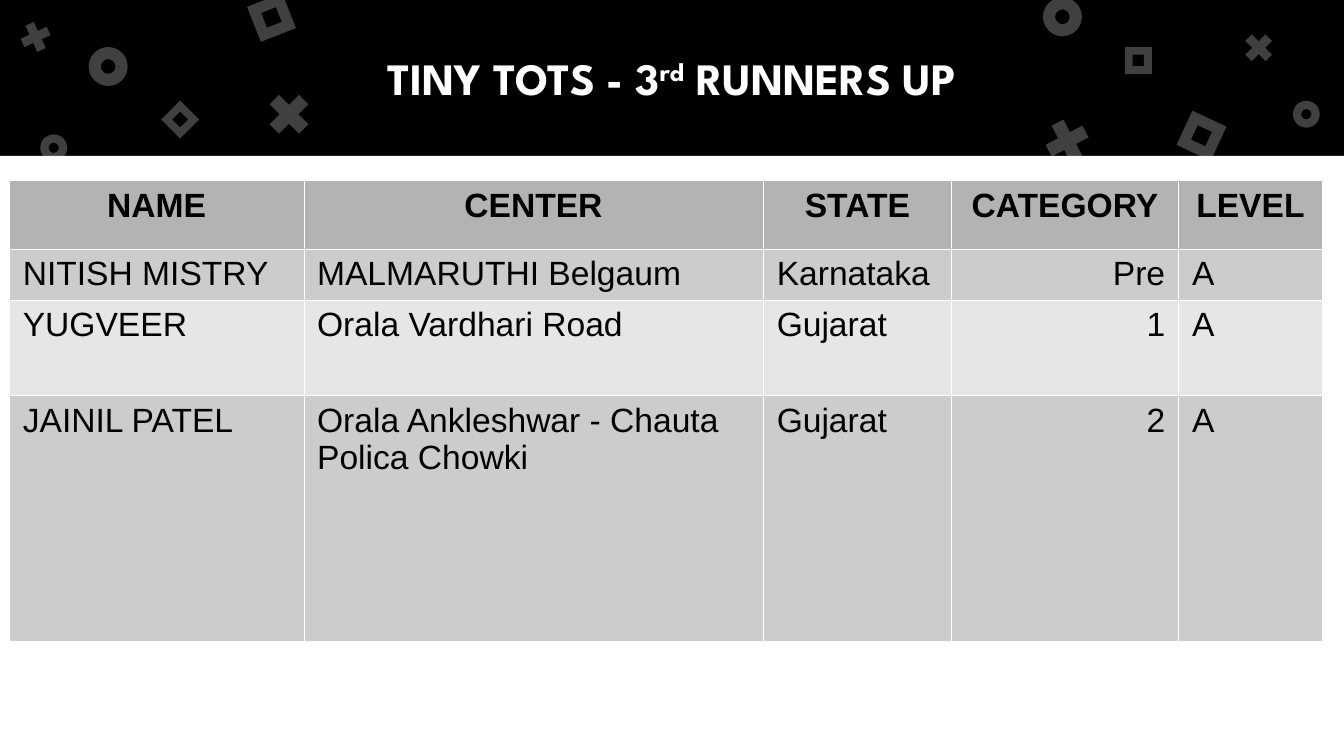
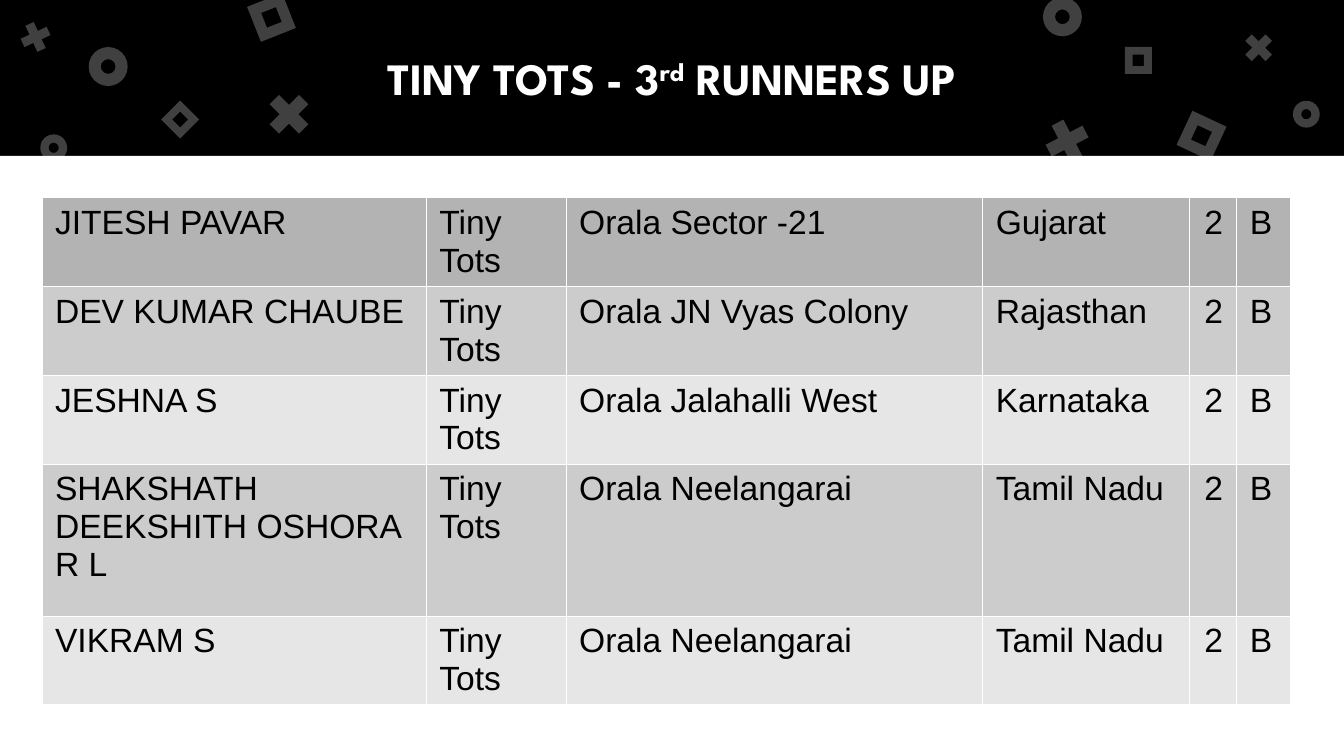
from lxml.etree import SubElement
from pptx import Presentation
from pptx.dml.color import RGBColor
from pptx.enum.shapes import MSO_SHAPE as Shape
from pptx.enum.text import MSO_ANCHOR as Anchor, MSO_AUTO_SIZE as AutoSize, PP_ALIGN as Align
from pptx.oxml.ns import qn
from pptx.util import Inches, Pt

COLORS = {
    "backdrop": "7BD100",
    "band": "000000",
    "paper": "FFFFFF",
    "title": "FFFFFF",
    "text": "000000",
    "border": "FFFFFF",
    "first_row": "B3B3B3",
    "odd_row": "CCCCCC",
    "even_row": "E6E6E6",
}
FONTS = {
    "title": {"name": "League Spartan", "size": Pt(24), "bold": True},
    "header": {"name": "Arial", "size": Pt(18), "bold": True},
    "body": {"name": "Arial", "size": Pt(18), "bold": False},
}
TITLE_FRAME = {
    "word_wrap": True,
    "auto_size": AutoSize.NONE,
    "vertical_anchor": Anchor.MIDDLE,
    **dict.fromkeys(("margin_left", "margin_top", "margin_right", "margin_bottom"), Inches(0.1)),
}
COLUMNS, ROWS = 100, 56.25
BAND_ROWS = 11.6
BORDER_WIDTH = Pt(0.06)
CONFETTI = {
    Shape.DONUT: (0.31, [(6.6, 3.5, 2.9, 0), (77.6, -0.2, 2.9, 0), (3, 10, 2, 0), (96.2, 7.5, 2, 0)]),
    Shape.MATH_MULTIPLY: (0.235, [(19.4, 6.4, 4.2, 0), (77.3, 8.4, 4.2, 17.5),
                                  (1.2, 1.3, 2.9, 20.4), (92.2, 2.1, 2.9, 0)]),
    Shape.FRAME: (0.289, [(18.8, -0.1, 2.8, 338.4), (88, 8.7, 2.8, 25),
                          (12.4, 7.9, 2, 45), (83.7, 3.5, 2, 0)]),
}


def apply(target, values):
    for name, value in values.items():
        setattr(target, name, value)


def color(name):
    return RGBColor.from_string(COLORS[name])


class Board:
    def __init__(self):
        self.deck = Presentation()
        self.deck.slide_width, self.deck.slide_height = Inches(10), Inches(5.625)
        self.page = None

    def across(self, columns):
        return round(self.deck.slide_width * columns / COLUMNS)

    def down(self, rows):
        return round(self.deck.slide_height * rows / ROWS)

    def place(self, left, top, width, height):
        return self.across(left), self.down(top), self.across(width), self.down(height)

    def new_page(self):
        self.page = self.deck.slides.add_slide(self.deck.slide_layouts[5])
        backdrop = self.page.background.fill
        backdrop.solid()
        backdrop.fore_color.rgb = color("backdrop")
        self.shape(Shape.RECTANGLE, (0, 0, COLUMNS, BAND_ROWS), "band")
        self.shape(Shape.RECTANGLE, (0, BAND_ROWS, COLUMNS, ROWS - BAND_ROWS), "paper")
        for kind, (thickness, places) in CONFETTI.items():
            for left, top, size, angle in places:
                piece = self.shape(kind, (left, top, size, size), "paper", alpha=25)
                piece.adjustments[0] = thickness
                piece.rotation = angle

    def shape(self, kind, area, fill, alpha=100):
        shape = self.page.shapes.add_shape(kind, *self.place(*area))
        shape.shadow.inherit = False
        shape.fill.solid()
        shape.fill.fore_color.rgb = color(fill)
        shape.line.fill.background()
        if alpha < 100:
            tint = shape._element.spPr.find(qn("a:solidFill")).find(qn("a:srgbClr"))
            SubElement(tint, qn("a:alpha"), val=str(alpha * 1000))
        return shape

    def add_span(self, para, text, style, ink, raised=False):
        span = para.add_run()
        span.text = text
        apply(span.font, FONTS[style])
        span.font.color.rgb = color(ink)
        if raised:
            span.font._element.set("baseline", "33000")

    def title(self, parts):
        box = self.page.shapes.title
        self.page.shapes._spTree.append(box._element)
        apply(box, dict(zip(("left", "top", "width", "height"), self.place(5, 0, 90, BAND_ROWS))))
        apply(box.text_frame, TITLE_FRAME)
        para = box.text_frame.paragraphs[0]
        para.alignment = Align.CENTER
        for text, raised in parts:
            self.add_span(para, text, "title", "title", raised)

    def border(self, cell):
        properties = cell._tc.get_or_add_tcPr()
        for side in ("lnL", "lnR", "lnT", "lnB"):
            line = SubElement(properties, qn("a:" + side), w=str(int(BORDER_WIDTH)))
            fill = SubElement(line, qn("a:solidFill"))
            SubElement(fill, qn("a:srgbClr"), val=COLORS["border"])

    def table(self, left, top, widths, heights, records, number_column, has_header=False):
        area = self.place(left, top, sum(widths), sum(heights))
        table = self.page.shapes.add_table(len(heights), len(widths), *area).table
        apply(table, {"first_row": has_header, "horz_banding": False})
        for column, width in zip(table.columns, widths):
            column.width = self.across(width)
        for row, height in zip(table.rows, heights):
            row.height = self.down(height)
        for r, record in enumerate(records):
            heading = has_header and r == 0
            fill = "first_row" if r == 0 else "odd_row" if r % 2 else "even_row"
            for c, text in enumerate(record):
                cell = table.cell(r, c)
                self.border(cell)
                cell.fill.solid()
                cell.fill.fore_color.rgb = color(fill)
                para = cell.text_frame.paragraphs[0]
                para.alignment = (Align.CENTER if heading
                                  else Align.RIGHT if c == number_column else Align.LEFT)
                self.add_span(para, text, "header" if heading else "body", "text")


TITLE = [("TINY TOTS - 3", False), ("rd", True), (" RUNNERS UP", False)]
GROUP = "Tiny Tots"
LEVEL_A = [
    ("NAME", "CENTER", "STATE", "CATEGORY", "LEVEL"),
    ("NITISH MISTRY", "MALMARUTHI Belgaum", "Karnataka", "Pre", "A"),
    ("YUGVEER", "Orala Vardhari Road", "Gujarat", "1", "A"),
    ("JAINIL PATEL", "Orala Ankleshwar - Chauta Polica Chowki", "Gujarat", "2", "A"),
]
LEVEL_B = [(name, GROUP, center, state, "2", "B") for name, center, state in (
    ("JITESH PAVAR", "Orala Sector -21", "Gujarat"),
    ("DEV KUMAR CHAUBE", "Orala JN Vyas Colony", "Rajasthan"),
    ("JESHNA S", "Orala Jalahalli West", "Karnataka"),
    ("SHAKSHATH DEEKSHITH OSHORA R L", "Orala Neelangarai", "Tamil Nadu"),
    ("VIKRAM S", "Orala Neelangarai", "Tamil Nadu"),
)]
TABLES = [
    {"left": 0.7, "top": 13.4, "widths": (21.9, 34.2, 14, 16.9, 10.7),
     "heights": (5.1, 3.8, 7.1, 18.3), "records": LEVEL_A, "number_column": 3, "has_header": True},
    {"left": 3.1, "top": 14.7, "widths": (28.6, 10.4, 31, 15.4, 3.5, 4),
     "heights": (6.6, 6.6, 6.6, 11.3, 6.6), "records": LEVEL_B, "number_column": 4},
]


def main():
    board = Board()
    for results in TABLES:
        board.new_page()
        board.title(TITLE)
        board.table(**results)
    board.deck.save("out.pptx")


if __name__ == "__main__":
    main()
